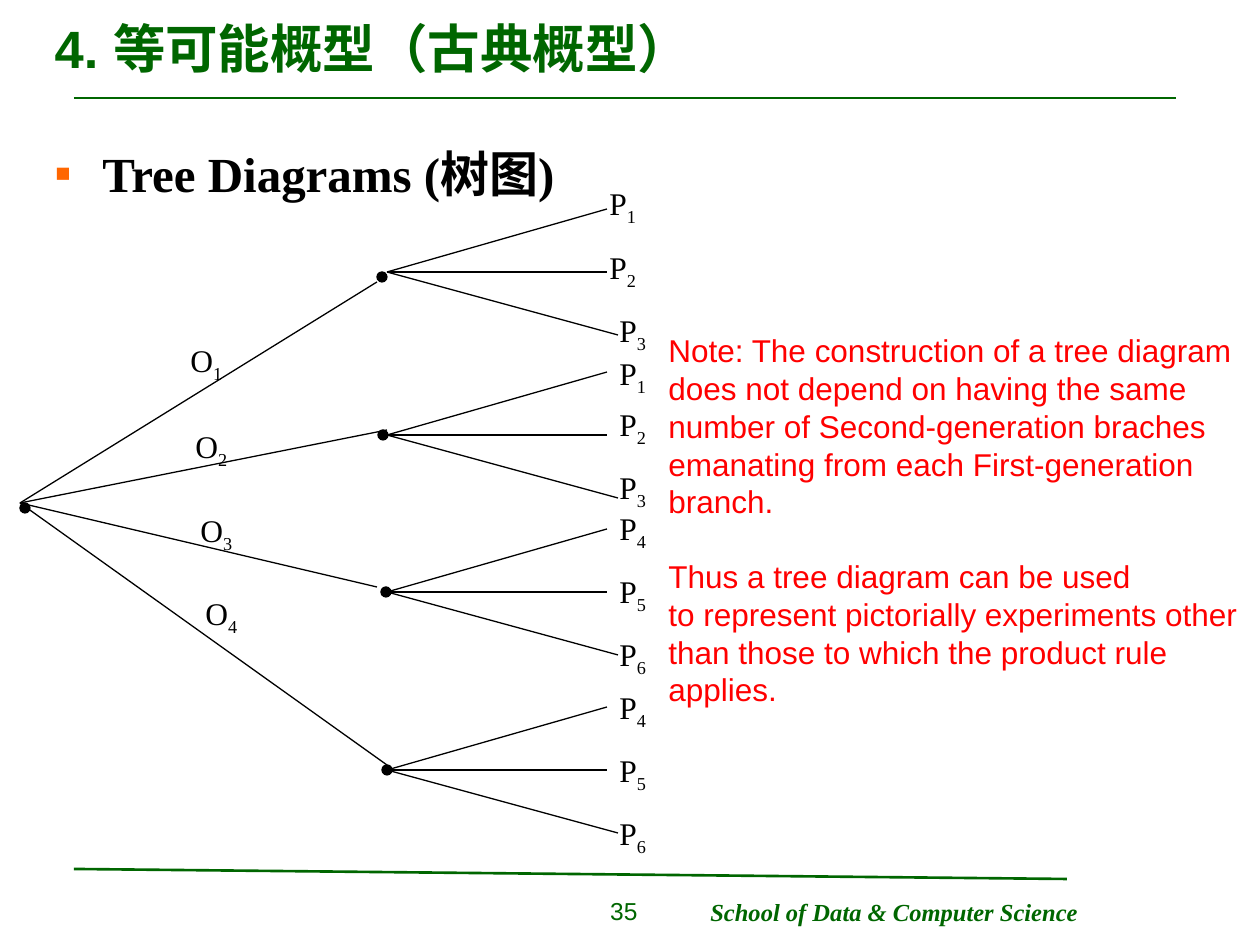
from lxml import etree
from pptx import Presentation
from pptx.dml.color import RGBColor
from pptx.enum.shapes import MSO_CONNECTOR, MSO_SHAPE
from pptx.enum.text import MSO_ANCHOR, MSO_AUTO_SIZE, PP_ALIGN
from pptx.oxml.ns import qn
from pptx.util import Pt

PX = 914400 / 126
GREEN = RGBColor(0x00, 0x66, 0x00)
ORANGE = RGBColor(0xFF, 0x66, 0x00)
RED = RGBColor(0xFF, 0x00, 0x00)
BLACK = RGBColor(0x00, 0x00, 0x00)
SANS, SERIF = "Arial", "Times New Roman"
STRAIGHT, OVAL = MSO_CONNECTOR.STRAIGHT, MSO_SHAPE.OVAL
MIDDLE, NO_FIT = MSO_ANCHOR.MIDDLE, MSO_AUTO_SIZE.NONE
LEFT, RIGHT = PP_ALIGN.LEFT, PP_ALIGN.RIGHT

deck = Presentation()
deck.slide_width, deck.slide_height = round(1260 * PX), round(945 * PX)
page = deck.slides.add_slide(deck.slide_layouts[5])


def add_line(start, end, color=BLACK, width=0.75):
    points = [round(value * PX) for value in (*start, *end)]
    line = page.shapes.add_connector(STRAIGHT, *points)
    line.line.color.rgb = color
    line.line.width = Pt(width)
    etree.SubElement(line._element.spPr, qn("a:effectLst"))


def add_text(place, lines, size, font, color, wrap=True, box=None):
    """Fill a box with one paragraph per line; each line is a list of runs."""
    left, top, width, height = [round(value * PX) for value in place]
    if box is None:
        box = page.shapes.add_textbox(left, top, width, height)
    box.left, box.top, box.width, box.height = left, top, width, height
    frame = box.text_frame
    frame.word_wrap = wrap
    frame.auto_size = NO_FIT
    for index, runs in enumerate(lines):
        para = frame.add_paragraph() if index else frame.paragraphs[0]
        para.alignment = LEFT
        for text in runs:
            span = para.add_run()
            span.text = text
            span.font.size = Pt(size)
            span.font.name = font
            span.font.color.rgb = color
    return frame


# Title and the two green rules
title = add_text((42, 4, 1177, 86), [["4. 等可能概型（古典概型）"]], 30, SANS, GREEN,
                 box=page.shapes.title)
title.vertical_anchor = MIDDLE
title.paragraphs[0].runs[0].font.bold = True
add_line((74, 98), (1176, 98), GREEN, 1.5)
add_line((74, 869), (1067, 879), GREEN, 1.5)

# Footer
school = add_text((698, 891, 393, 43), [["School of Data & Computer Science"]], 14, SERIF,
                  GREEN, wrap=False)
school.paragraphs[0].runs[0].font.bold = True
school.paragraphs[0].runs[0].font.italic = True
number = add_text((522, 890, 128, 45), [["35"]], 14, SANS, GREEN)
number.paragraphs[0].alignment = RIGHT

# Bulleted heading
heading = add_text((42, 137, 1177, 728), [["Tree Diagrams (树图)"]], 28, SERIF, BLACK)
para = heading.paragraphs[0]
para.runs[0].font.bold = True
properties = para._p.get_or_add_pPr()
properties.set("marL", str(round(48 * PX)))
properties.set("indent", str(round(-48 * PX)))
bullet_color = etree.SubElement(properties, qn("a:buClr"))
etree.SubElement(bullet_color, qn("a:srgbClr")).set("val", str(ORANGE))
etree.SubElement(properties, qn("a:buFont")).set("typeface", SANS)
etree.SubElement(properties, qn("a:buChar")).set("char", "▪")

# Tree: dots, first-generation branches, then three second-generation branches each
ROOT = (20, 503)
DOTS = [(377, 272), (378, 430), (381, 587), (382, 765)]
BRANCH_ENDS = [(377, 282), (387, 430), (377, 587), (387, 765)]
FAN_TOPS = [272, 435, 592, 770]
for left, top in DOTS + [ROOT]:
    dot = page.shapes.add_shape(OVAL, round(left * PX), round(top * PX),
                                round(10 * PX), round(10 * PX))
    dot.shadow.inherit = False
    dot.fill.solid()
    dot.fill.fore_color.rgb = BLACK
    dot.line.color.rgb = BLACK
    dot.line.width = Pt(0.75)
for end in BRANCH_ENDS:
    add_line(ROOT, end)
for y in FAN_TOPS:
    for end in [(607, y), (607, y - 63), (618, y + 63)]:
        add_line((387, y), end)

# Branch labels with subscripts
labels = [("O", str(i + 1), 178 + 5 * i, top) for i, top in enumerate([335, 421, 505, 588])]
LABEL_TOPS = [(178, 242, 305), (348, 399, 462), (503, 566, 629), (682, 745, 808)]
for group, tops in enumerate(LABEL_TOPS):
    first = 1 if group < 2 else 4
    for i, top in enumerate(tops):
        left = 597 if group == 0 and i < 2 else 607
        labels.append(("P", str(first + i), left, top))
for letter, index, left, top in labels:
    label = add_text((left, top, 63, 55), [[letter, index]], 18, SERIF, BLACK)
    label.paragraphs[0].runs[1].font._element.set("baseline", "-25000")

# Note in two blocks
NOTE = [
    "Note: The construction of a tree diagram",
    "does not depend on having the same",
    "number of Second-generation braches",
    "emanating from each First-generation",
    "branch.",
    "Thus a tree diagram can be used",
    "to represent pictorially experiments other",
    "than those to which the product rule",
    "applies.",
]
note = add_text((656, 325, 593, 391), [[line] for line in NOTE], 18, SANS, RED, wrap=False)
note.paragraphs[5].space_before = Pt(21)

deck.save("out.pptx")
